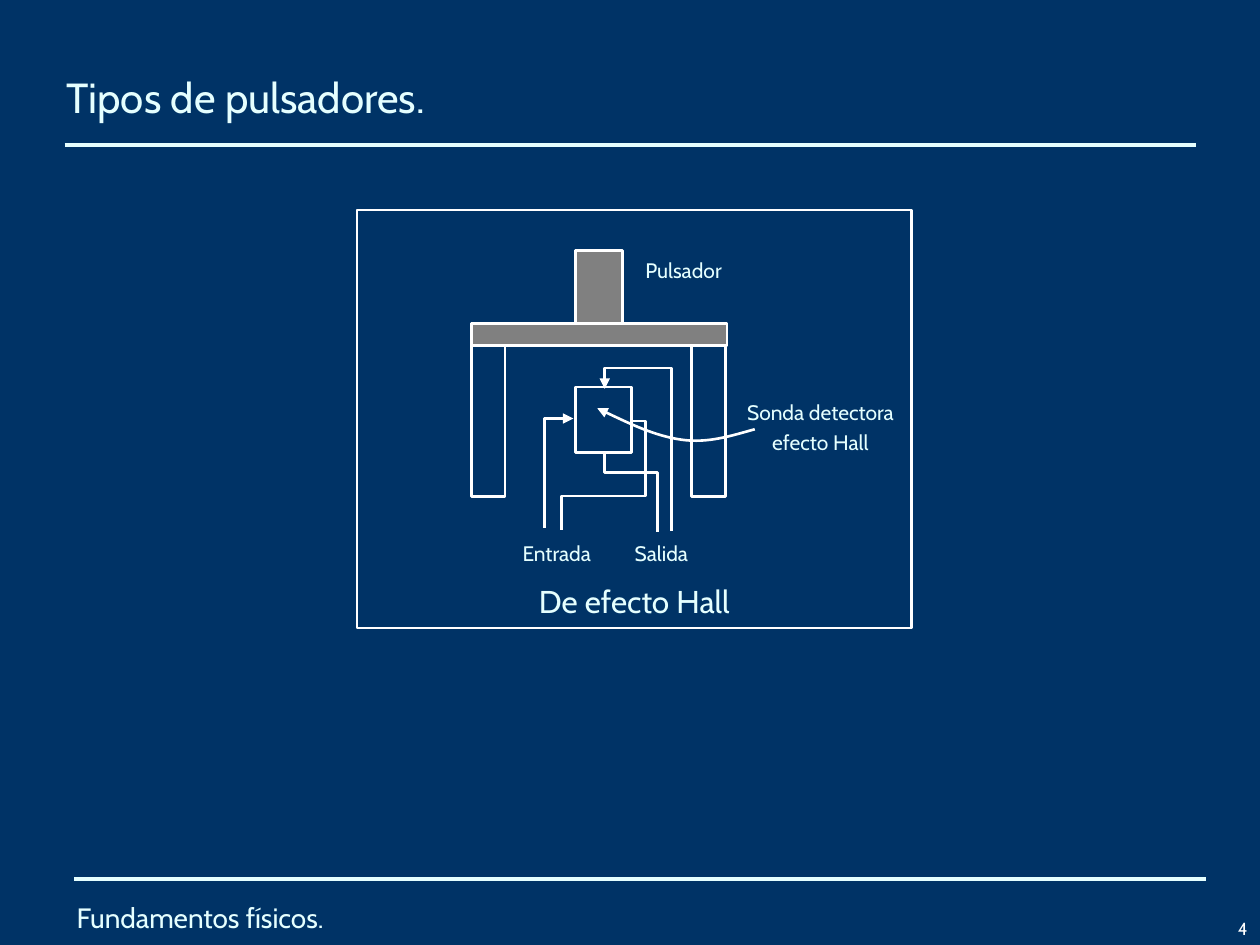
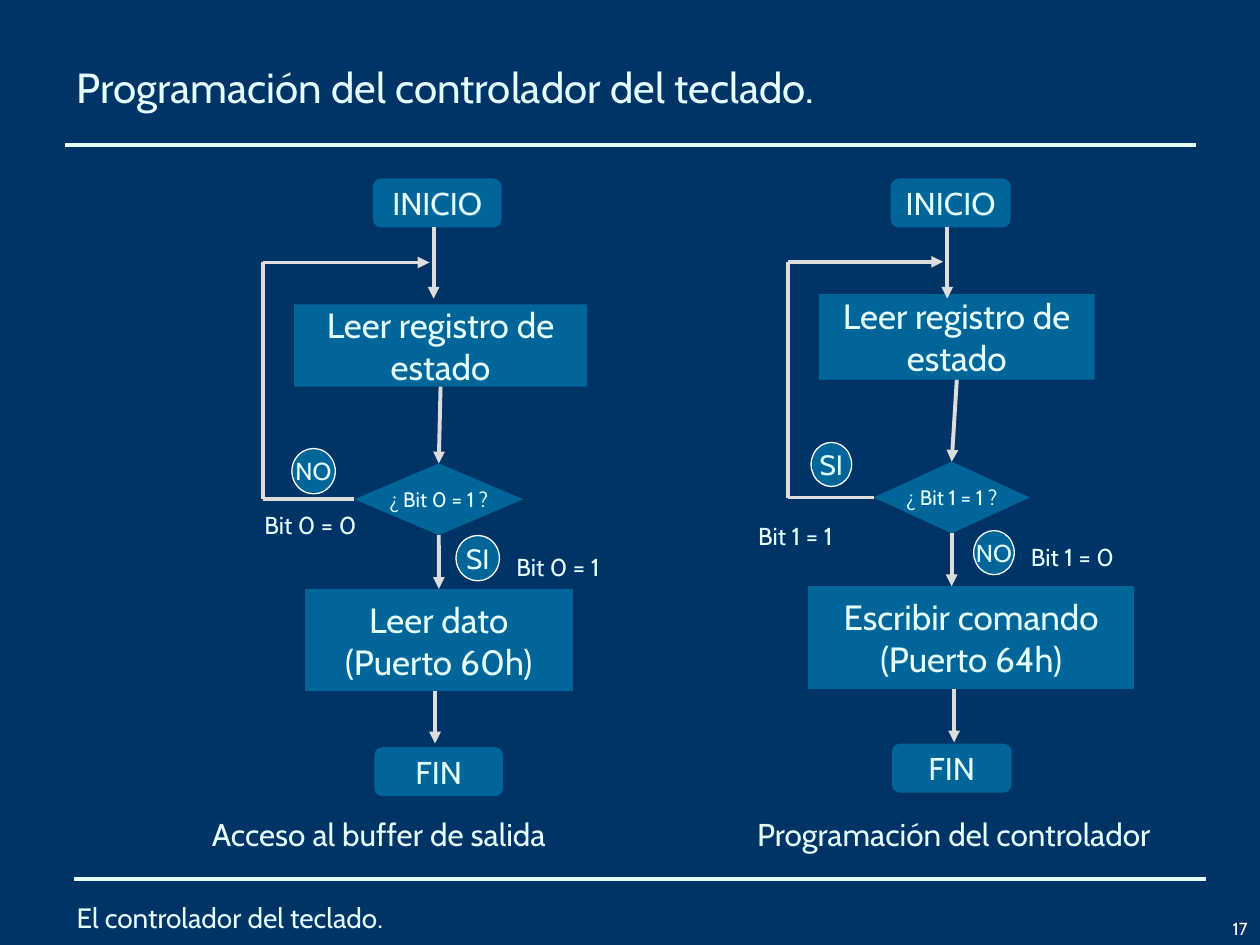
from dataclasses import dataclass

from lxml import etree
from pptx import Presentation
from pptx import util as u
from pptx.dml.color import RGBColor
from pptx.enum import shapes, text
from pptx.oxml.ns import qn

NAVY, BLUE, GRAY, SILVER = "003366", "006699", "808080", "DDDDDD"
WHITE, ICE = "FFFFFF", "E5FFFF"
FONT = "Cabin"
LEFT, CENTER, RIGHT = text.PP_ALIGN.LEFT, text.PP_ALIGN.CENTER, text.PP_ALIGN.RIGHT
TOP, MIDDLE, BOTTOM = text.MSO_ANCHOR.TOP, text.MSO_ANCHOR.MIDDLE, text.MSO_ANCHOR.BOTTOM
PRESET = shapes.MSO_SHAPE
BADGE_SIZES = {"SI": 16, "NO": 14}


@dataclass
class Flowchart:
    start: tuple
    read: tuple
    decision: tuple
    action: tuple
    end: tuple
    entry_x: float
    loop_x: float
    loop_y: float
    exit_x: float
    exit_bottom: float
    question: str
    action_lines: list
    loop_badge: tuple
    forward_badge: tuple
    loop_label: tuple
    forward_label: tuple


def set_color(color_format, value):
    color_format.rgb = RGBColor.from_string(value)


def points(values):
    return [u.Pt(value) for value in values]


def write(shape, lines, size, align=CENTER, anchor=MIDDLE, wrap=False, gap=0, color=ICE):
    frame = shape.text_frame
    frame.word_wrap = wrap
    frame.vertical_anchor = anchor
    for index, line in enumerate(lines):
        paragraph = frame.paragraphs[0] if index == 0 else frame.add_paragraph()
        paragraph.text = line
        paragraph.alignment = align
        if index and gap:
            paragraph.space_before = u.Pt(gap)
        paragraph.font.name = FONT
        paragraph.font.size = u.Pt(size)
        set_color(paragraph.font.color, color)


def add_text(slide, box, lines, size, **style):
    write(slide.shapes.add_textbox(*points(box)), lines, size, **style)


def set_outline(line, color, width, arrow=False):
    line.fill.solid()
    set_color(line.fill.fore_color, color)
    line.width = u.Pt(width)
    if arrow:
        etree.SubElement(line._get_or_add_ln(), qn("a:tailEnd"), type="triangle")


def add_block(slide, preset, box, fill=None, line=None, width=1.5):
    shape = slide.shapes.add_shape(preset, *points(box))
    shape.shadow.inherit = False
    if fill:
        shape.fill.solid()
        set_color(shape.fill.fore_color, fill)
    else:
        shape.fill.background()
    if line:
        set_outline(shape.line, line, width)
    else:
        shape.line.fill.background()
    return shape


def add_step(slide, preset, box, lines, size):
    shape = add_block(slide, preset, box, BLUE)
    write(shape, lines, size)
    return shape


def add_badge(slide, answer, box):
    badge = add_block(slide, PRESET.FLOWCHART_CONNECTOR, box, BLUE, WHITE, 0.75)
    write(badge, [answer], BADGE_SIZES[answer])


def add_line(slide, start, end, color=SILVER, arrow=False, source=None, target=None):
    connector = slide.shapes.add_connector(
        shapes.MSO_CONNECTOR.STRAIGHT, *points(start + end))
    if source:
        connector.begin_connect(*source)
    if target:
        connector.end_connect(*target)
    set_outline(connector.line, color, 2.25, arrow)
    etree.SubElement(connector._element.spPr, qn("a:effectLst"))


def add_wire(slide, route, arrow=False, curved=False):
    first, *rest = [tuple(points(point)) for point in route]
    builder = slide.shapes.build_freeform(*first)
    builder.add_line_segments(rest, close=False)
    wire = builder.convert_to_shape()
    wire.shadow.inherit = False
    wire.fill.background()
    set_outline(wire.line, WHITE, 1.5, arrow)
    if curved:
        bend_segments(wire)


def bend_segments(wire):
    outline = next(wire._element.iter(qn("a:path")))
    segments = outline.findall(qn("a:lnTo"))
    for index in range(0, len(segments), 3):
        curve = etree.SubElement(outline, qn("a:cubicBezTo"))
        for segment in segments[index:index + 3]:
            curve.append(segment[0])
            outline.remove(segment)


def add_slide(presentation, title, title_box, section, number):
    slide = presentation.slides.add_slide(presentation.slide_layouts[6])
    slide.background.fill.solid()
    set_color(slide.background.fill.fore_color, NAVY)
    add_line(slide, (37, 82.8), (683.3, 82.8), ICE)
    add_line(slide, (42.5, 502.4), (689, 502.4), ICE)
    add_text(slide, title_box, [title], 24, align=LEFT, anchor=TOP, wrap=True)
    add_text(slide, (36.75, 508.5, 648, 31.5), [section], 16, align=LEFT, wrap=True)
    add_text(slide, (680, 513.5, 40, 26.5), [number], 10,
             align=RIGHT, anchor=BOTTOM, wrap=True, color=WHITE)
    return slide


def add_hall_button(slide):
    parts = [
        ((329, 143.3, 26.7, 43.9), GRAY),
        ((395.3, 197.4, 19.4, 86.4), NAVY),
        ((269.3, 197.4, 19.4, 86.4), NAVY),
        ((269.3, 185, 146.2, 12.4), GRAY),
        ((329, 221.2, 31.8, 37.3), NAVY),
    ]
    for box, fill in parts:
        add_block(slide, PRESET.RECTANGLE, box, fill, WHITE)

    add_wire(slide, [(383.7, 303.5), (383.7, 210.2), (345.6, 210.2), (345.6, 222.2)], arrow=True)
    add_wire(slide, [(345.6, 259.7), (345.6, 270), (375.7, 270), (375.7, 303.8)])
    add_wire(slide, [(311.2, 301.5), (311.2, 239.2), (327.7, 239.2)], arrow=True)
    add_wire(slide, [(360.8, 240.5), (368.8, 240.5), (368.8, 283.5), (321, 283.5), (321, 303)])
    add_block(slide, PRESET.RECTANGLE, (204, 120, 317, 239), line=WHITE)

    add_text(slide, (248.4, 329, 228.2, 28.8), ["De efecto Hall"], 18, anchor=TOP, wrap=True)
    labels = [
        ((354.2, 305.5, 47.5, 21.6), ["Salida"]),
        ((289, 305.5, 58.3, 21.6), ["Entrada"]),
        ((358.6, 143.5, 64, 21.6), ["Pulsador"]),
        ((415.2, 224.6, 107.3, 39), ["Sonda detectora", "efecto Hall"]),
    ]
    for box, lines in labels:
        add_text(slide, box, lines, 12, gap=3)
    add_wire(slide, [(431.3, 245.3), (417.6, 249.1), (404.6, 253.4), (389.5, 251.3),
                     (374.4, 249.1), (357.8, 241.2), (341.3, 233.3)], arrow=True, curved=True)


def add_flowchart(slide, chart):
    start = add_step(slide, PRESET.FLOWCHART_ALTERNATE_PROCESS, chart.start, ["INICIO"], 18)
    read = add_step(slide, PRESET.RECTANGLE, chart.read, ["Leer registro de", "estado"], 20)
    decision = add_step(slide, PRESET.FLOWCHART_DECISION, chart.decision, [chart.question], 12)
    action = add_step(slide, PRESET.FLOWCHART_PROCESS, chart.action, chart.action_lines, 20)
    add_step(slide, PRESET.FLOWCHART_ALTERNATE_PROCESS, chart.end, ["FIN"], 18)

    add_line(slide, (chart.entry_x, start.top.pt + start.height.pt),
             (chart.entry_x, 170.6), arrow=True)
    add_line(slide, (0, 0), (0, 0), arrow=True, source=(read, 2), target=(decision, 0))

    middle_x = decision.left.pt + decision.width.pt / 2
    middle_y = decision.top.pt + decision.height.pt / 2
    bottom = decision.top.pt + decision.height.pt
    aligned = abs(action.left.pt + action.width.pt / 2 - middle_x) < 1
    add_line(slide, (middle_x, bottom), (middle_x, action.top.pt), arrow=True,
             source=(decision, 2), target=(action, 0) if aligned else None)
    add_line(slide, (chart.exit_x, action.top.pt + action.height.pt),
             (chart.exit_x, chart.exit_bottom), arrow=True)

    lower, upper = (chart.loop_x, middle_y), (chart.loop_x, chart.loop_y)
    add_line(slide, (decision.left.pt, middle_y), lower, source=(decision, 1))
    add_line(slide, lower, upper)
    add_line(slide, upper, (chart.entry_x - 2.4, chart.loop_y), arrow=True)

    for answer, box in (chart.loop_badge, chart.forward_badge):
        add_badge(slide, answer, box)
    for label, box in (chart.loop_label, chart.forward_label):
        add_text(slide, box, [label], 14, align=LEFT, anchor=TOP, wrap=True)


def main():
    presentation = Presentation()
    presentation.slide_width = u.Pt(720)
    presentation.slide_height = u.Pt(540)

    button_slide = add_slide(presentation, "Tipos de pulsadores.", (31, 37.4, 450, 36),
                             "Fundamentos físicos.", "4")
    add_hall_button(button_slide)

    keyboard_slide = add_slide(
        presentation, "Programación del controlador del teclado.", (36.75, 31.7, 582, 36),
        "El controlador del teclado.", "17")
    add_flowchart(keyboard_slide, Flowchart(
        start=(213.1, 102, 73.5, 28), read=(168, 174, 167.5, 47),
        decision=(202.5, 264.8, 96.5, 41), action=(174.4, 336.5, 152.8, 58.5),
        end=(213.9, 427, 73.5, 28),
        entry_x=247.8, loop_x=150.2, loop_y=150, exit_x=248.6, exit_bottom=424.8,
        question="¿ Bit 0 = 1 ?", action_lines=["Leer dato", "(Puerto 60h)"],
        loop_badge=("NO", (166.8, 256.3, 24.8, 25.9)),
        forward_badge=("SI", (260.6, 306, 24.8, 25.9)),
        loop_label=("Bit 0 = 0", (144, 288, 77.8, 24.5)),
        forward_label=("Bit 0 = 1", (288, 311.8, 82.8, 24.5))))
    add_flowchart(keyboard_slide, Flowchart(
        start=(509, 102, 68.5, 28), read=(468, 168, 157.5, 49),
        decision=(499.2, 263.8, 89.3, 41), action=(462, 335, 186, 58.5),
        end=(509.6, 425, 68.5, 28),
        entry_x=541.3, loop_x=450.2, loop_y=149.6, exit_x=545.2, exit_bottom=424.2,
        question="¿ Bit 1 = 1 ?", action_lines=["Escribir comando", "(Puerto 64h)"],
        loop_badge=("SI", (463.5, 252.8, 23.2, 25.2)),
        forward_badge=("NO", (556.4, 303.2, 23.2, 25.2)),
        loop_label=("Bit 1 = 1", (426.2, 294, 85, 24.5)),
        forward_label=("Bit 1 = 0", (582, 306, 72, 24.5))))
    add_text(keyboard_slide, (114, 462.2, 237.6, 28.8), ["Acceso al buffer de salida"], 18,
             align=LEFT, anchor=TOP, wrap=True)
    add_text(keyboard_slide, (410.4, 462.2, 269.3, 28.8), ["Programación del controlador"], 18)

    presentation.save("out.pptx")


if __name__ == "__main__":
    main()
